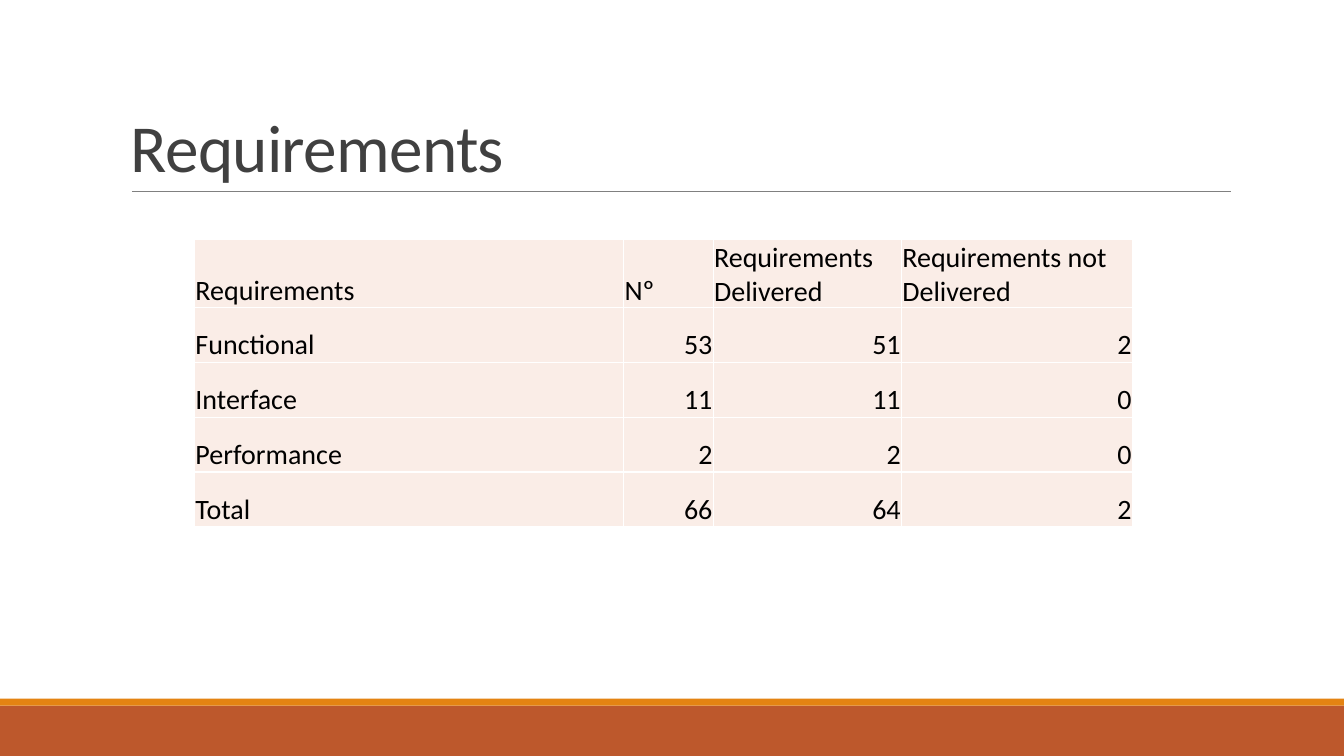
from dataclasses import dataclass

from lxml.etree import SubElement
from pptx import Presentation
from pptx.dml.color import RGBColor
from pptx.enum.shapes import MSO_CONNECTOR as Line, MSO_SHAPE as Shape
from pptx.enum.text import MSO_ANCHOR as Anchor, PP_ALIGN as Align
from pptx.oxml.ns import qn
from pptx.slide import Slide
from pptx.table import _Cell as Cell
from pptx.text.text import _Paragraph as Para, _Run as Run
from pptx.util import Pt

WHITE = RGBColor(0xFF, 0xFF, 0xFF)
BLACK = RGBColor(0, 0, 0)
SLATE = RGBColor(0x40, 0x40, 0x40)
GRAY = RGBColor(0x80, 0x80, 0x80)
RUST = RGBColor(0xBD, 0x58, 0x2C)
AMBER = RGBColor(0xE4, 0x83, 0x12)
BLUSH = RGBColor(0xFA, 0xED, 0xE7)

FONT = "Calibri"
WIDTH, HEIGHT = 960, 540


@dataclass
class Band:
    top: float
    height: float
    color: RGBColor


BANDS = [Band(504, 36, RUST), Band(499, 5, AMBER)]
COLS = [306.5, 64, 134.5, 165]
ROW = 39.1
ROWS = [
    ("Requirements", "Nº", "Requirements Delivered", "Requirements not Delivered"),
    ("Functional", "53", "51", "2"),
    ("Interface", "11", "11", "0"),
    ("Performance", "2", "2", "0"),
    ("Total", "66", "64", "2"),
]


def add_run(para: Para, text: str, size: float, color: RGBColor) -> Run:
    run = para.add_run()
    run.text = text
    run.font.name = FONT
    run.font.size = Pt(size)
    run.font.color.rgb = color
    return run


def add_band(slide: Slide, band: Band) -> None:
    bar = slide.shapes.add_shape(
        Shape.RECTANGLE, 0, Pt(band.top), Pt(WIDTH), Pt(band.height))
    bar.shadow.inherit = False
    bar.fill.solid()
    bar.fill.fore_color.rgb = band.color
    bar.line.fill.background()


def add_rule(slide: Slide) -> None:
    """Draw the thin line under the title."""
    rule = slide.shapes.add_connector(
        Line.STRAIGHT, Pt(94.3), Pt(136.8), Pt(879), Pt(136.8))
    rule.line.color.rgb = GRAY
    rule.line.width = Pt(0.5)
    SubElement(rule._element.spPr, qn("a:effectLst"))


def add_title(slide: Slide, text: str) -> None:
    box = slide.shapes.add_textbox(Pt(86.4), Pt(22.5), Pt(792), Pt(114.2))
    frame = box.text_frame
    frame.word_wrap = True
    frame.vertical_anchor = Anchor.BOTTOM
    para = frame.paragraphs[0]
    para.line_spacing = 0.85
    run = add_run(para, text, 48, SLATE)
    run.font._element.set("spc", "-50")


def add_edges(cell: Cell) -> None:
    """Give the cell white borders, which must come before its fill."""
    props = cell._tc.get_or_add_tcPr()
    for side in ("lnL", "lnR", "lnT", "lnB"):
        edge = SubElement(props, qn(f"a:{side}"), w=str(Pt(1)))
        fill = SubElement(edge, qn("a:solidFill"))
        SubElement(fill, qn("a:srgbClr"), val=str(WHITE))


def fill_cell(cell: Cell, text: str) -> None:
    add_edges(cell)
    cell.fill.solid()
    cell.fill.fore_color.rgb = BLUSH
    cell.vertical_anchor = Anchor.BOTTOM
    cell.margin_left = cell.margin_right = cell.margin_top = Pt(0.6)
    cell.margin_bottom = 0
    para = cell.text_frame.paragraphs[0]
    para.alignment = Align.RIGHT if text.isdigit() else Align.LEFT
    add_run(para, text, 20, BLACK)


def add_grid(slide: Slide) -> None:
    grid = slide.shapes.add_table(
        len(ROWS), len(COLS), Pt(139), Pt(171.2),
        Pt(sum(COLS)), Pt(ROW * len(ROWS))).table
    grid.first_row = grid.horz_banding = False
    for col, width in zip(grid.columns, COLS):
        col.width = Pt(width)
    for row, texts in zip(grid.rows, ROWS):
        row.height = Pt(ROW)
        for cell, text in zip(row.cells, texts):
            fill_cell(cell, text)


def main() -> None:
    deck = Presentation()
    deck.slide_width, deck.slide_height = Pt(WIDTH), Pt(HEIGHT)
    slide = deck.slides.add_slide(deck.slide_layouts[6])
    for band in BANDS:
        add_band(slide, band)
    add_rule(slide)
    add_title(slide, "Requirements")
    add_grid(slide)
    deck.save("out.pptx")


if __name__ == "__main__":
    main()
